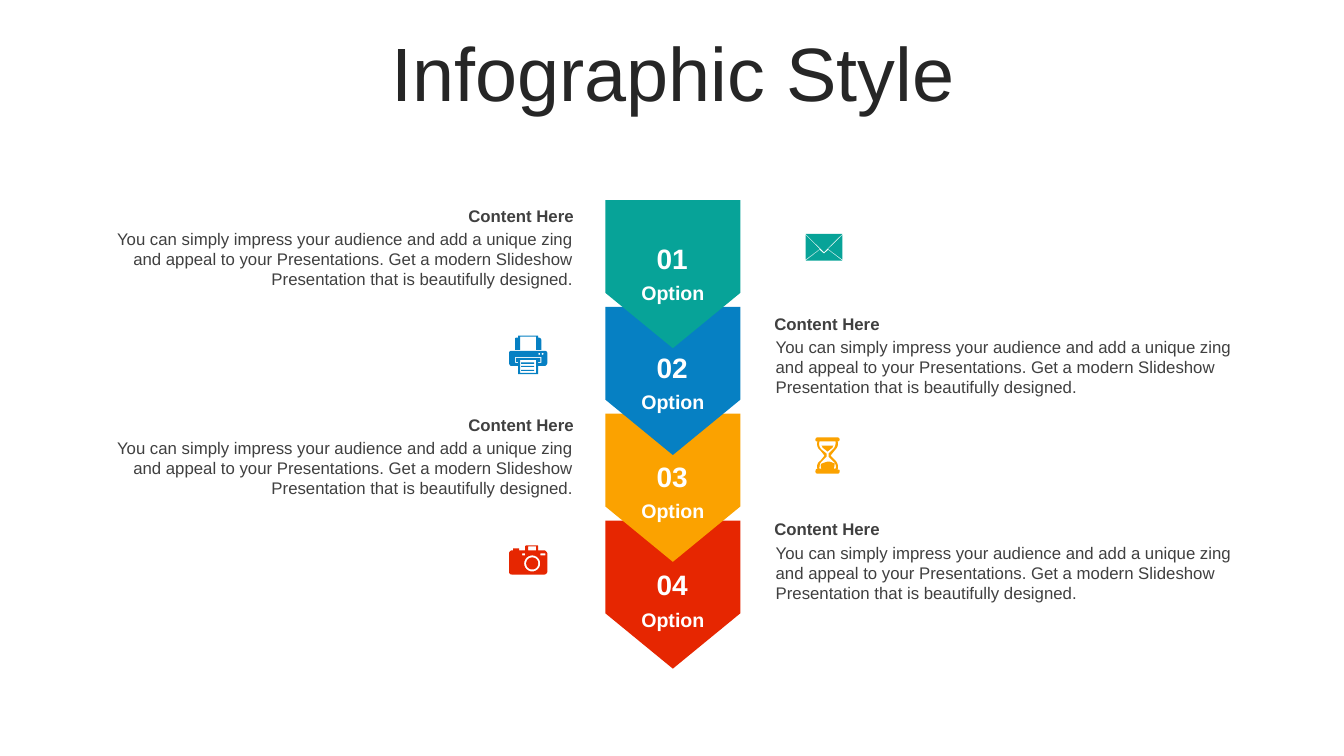
import pptx
import pptx.util
import pptx.dml.color
import pptx.enum.shapes
import pptx.enum.text

Pt = pptx.util.Pt
ALIGN = pptx.enum.text.PP_ALIGN
ANCHOR = pptx.enum.text.MSO_ANCHOR

TITLE = "Infographic Style"
HEADING = "Content Here"
BODY = ("You can simply impress your audience and add a unique zing and appeal to your "
        "Presentations. Get a modern Slideshow Presentation that is beautifully designed.")
FONT = "Arial"
GRID = 0.72


def box(left, top, right, bottom):
    return [(left, top), (right, top), (right, bottom), (left, bottom)]


def circle(x, y, radius):
    k = radius * 0.55
    return [(x, y - radius),
            (x + k, y - radius, x + radius, y - k, x + radius, y),
            (x + radius, y + k, x + k, y + radius, x, y + radius),
            (x - k, y + radius, x - radius, y + k, x - radius, y),
            (x - radius, y - k, x - k, y - radius, x, y - radius)]


ENVELOPE = [
    [(22.5, 15.8), (36.5, 26.5), (0, 26.5), (14, 15.8), (18.25, 19.5)],
    [(36.5, 1), (36.5, 25.5), (22.5, 15)],
    [(0, 1), (14, 15), (0, 25.5)],
    [(0, 0), (36.5, 0), (18.25, 18)],
]
PRINTER = [
    box(12, 34, 25, 35), box(12, 30, 25, 31), box(12, 26.5, 25, 28),
    box(11, 24, 27, 37),
    [(6, 21), (6, 27), (9, 27), (9, 26), (7, 26), (7, 22), (31, 22), (31, 26),
     (29, 26), (29, 27), (32, 27), (32, 21)],
    circle(33.3, 18, 1), circle(30, 18, 1),
    [(2, 15), (35, 15), (37, 15, 38, 16, 38, 17), (38, 27), (38, 28, 37, 30, 35, 30),
     (29, 30), (29, 38), (9, 38), (9, 30), (2, 30), (1, 30, 0, 28, 0, 27),
     (0, 17), (0, 16, 1, 15, 2, 15)],
    [(9, 0), (29, 0), (29, 2), (30, 2), (31, 2, 32, 3, 32, 4), (32, 14), (27, 14),
     (27, 1), (11, 1), (11, 14), (6, 14), (6, 4), (6, 3, 6, 2, 7, 2), (9, 2)],
]
HOURGLASS = [
    [(13, 24), (15, 24, 17, 25, 19, 26), (19, 27, 19, 29, 18, 31), (6, 31),
     (5, 29, 5, 27, 6, 26), (9, 25, 11, 24, 13, 24)],
    [(6, 8), (18, 8), (18, 8, 17, 9, 17, 10), (12, 14), (7, 10), (7, 9, 6, 8, 6, 8)],
    [(4, 4), (3, 7, 4, 10, 6, 12), (11, 16), (11, 19), (6, 24), (4, 26, 4, 29, 4, 31),
     (20, 31), (21, 29, 20, 26, 18, 24), (13, 19), (13, 16), (18, 11),
     (20, 9, 20, 6, 20, 4)],
    [(2, 0), (22, 0), (23, 0, 24, 1, 24, 2), (24, 3, 23, 4, 22, 4),
     (23, 7, 22, 10, 19, 13), (15, 18), (19, 22), (22, 25, 23, 28, 22, 32),
     (24, 32, 24, 32, 24, 34), (24, 35, 23, 36, 22, 36), (2, 36),
     (1, 36, 0, 35, 0, 34), (0, 32, 1, 31, 2, 31), (1, 28, 2, 25, 5, 23), (9, 18),
     (5, 13), (2, 11, 1, 7, 2, 4), (0, 4, 0, 3, 0, 2), (0, 1, 1, 0, 2, 0)],
]
CAMERA = [
    circle(23, 18, 6), circle(23, 18, 8),
    box(13, 8, 16, 10), box(31, 8, 36, 10), box(19, 1, 27, 5),
    [(17, 0), (28, 0), (29, 0, 29, 1, 29, 1), (29, 5), (35, 5), (36, 5, 38, 7, 38, 8),
     (38, 26), (38, 28, 36, 29, 35, 29), (3, 29), (1, 29, 0, 28, 0, 26), (0, 8),
     (0, 7, 1, 5, 3, 5), (4, 5), (4, 3), (10, 3), (10, 5), (16, 5), (16, 1),
     (16, 1, 17, 0, 17, 0)],
]

OPTIONS = [
    ("01", "07A398", "left", 143.3, ENVELOPE, 575.4, 167.1),
    ("02", "0680C3", "right", 220.3, PRINTER, 363.6, 239.8),
    ("03", "FBA200", "left", 292.3, HOURGLASS, 582.5, 312.5),
    ("04", "E62601", "right", 367.2, CAMERA, 363.6, 389.5),
]
SIDES = {"left": (72, ALIGN.RIGHT), "right": (546, ALIGN.LEFT)}


def color(value):
    return pptx.dml.color.RGBColor.from_string(value)


def write(shape, text, size=12, fill="404040", bold=False, align=ALIGN.CENTER,
          anchor=ANCHOR.TOP, line_spacing=None):
    frame = shape.text_frame
    frame.word_wrap = True
    frame.auto_size = pptx.enum.text.MSO_AUTO_SIZE.NONE
    frame.vertical_anchor = anchor
    paragraph = frame.paragraphs[0]
    paragraph.alignment = align
    paragraph.line_spacing = line_spacing
    run = paragraph.add_run()
    run.text = text
    run.font.name = FONT
    run.font.size = Pt(size)
    run.font.bold = bold
    run.font.color.rgb = color(fill)


def add_label(slide, text, left, top, width, height, **style):
    write(slide.shapes.add_textbox(Pt(left), Pt(top), Pt(width), Pt(height)), text, **style)


def paint(shape, fill):
    shape.shadow.inherit = False
    shape.fill.solid()
    shape.fill.fore_color.rgb = color(fill)
    shape.line.fill.background()


def flatten(contour, steps=6):
    points = []
    for segment in contour:
        if len(segment) == 2:
            points.append(segment)
            continue
        nodes = [points[-1], segment[:2], segment[2:4], segment[4:]]
        for step in range(1, steps + 1):
            t = step / steps
            weights = ((1 - t) ** 3, 3 * t * (1 - t) ** 2, 3 * t * t * (1 - t), t ** 3)
            points.append(tuple(sum(w * node[axis] for w, node in zip(weights, nodes))
                                for axis in (0, 1)))
    return [(x * Pt(GRID), y * Pt(GRID)) for x, y in points]


def add_icon(slide, contours, left, top, fill):
    outlines = [flatten(contour) for contour in contours]
    builder = slide.shapes.build_freeform(*outlines[0][0])
    for index, points in enumerate(outlines):
        if index:
            builder.move_to(*points[0])
        builder.add_line_segments(points[1:], close=True)
    paint(builder.convert_to_shape(Pt(left), Pt(top)), fill)


def add_chevron(slide, index, fill):
    chevron = slide.shapes.add_shape(
        pptx.enum.shapes.MSO_SHAPE.PENTAGON,
        Pt(427.7), Pt(147.6 + 76.3 * index), Pt(105.8), Pt(96.5))
    chevron.adjustments[0] = 0.41
    chevron.rotation = 90
    paint(chevron, fill)


def main():
    presentation = pptx.Presentation()
    presentation.slide_width = Pt(960)
    presentation.slide_height = Pt(540)
    slide = presentation.slides.add_slide(presentation.slide_layouts[5])

    title = slide.shapes.title
    title.left, title.top, title.width, title.height = Pt(25), Pt(26.6), Pt(911.5), Pt(57)
    write(title, TITLE, size=54, fill="262626", anchor=ANCHOR.MIDDLE, line_spacing=0.9)

    for index, option in reversed(list(enumerate(OPTIONS))):
        add_chevron(slide, index, option[1])

    for index, (number, fill, side, top, icon, icon_left, icon_top) in enumerate(OPTIONS):
        label_top = 168.5 + 77.76 * index
        add_label(slide, "Option", 441.4, label_top + 28.8, 78.5, 24.5,
                  size=14, fill="FFFFFF", bold=True)
        add_label(slide, number, 455, label_top, 50.4, 31.7,
                  size=20, fill="FFFFFF", bold=True, anchor=ANCHOR.MIDDLE)
        left, align = SIDES[side]
        add_label(slide, HEADING, left, top, 345, 21.6,
                  bold=True, align=align, anchor=ANCHOR.MIDDLE)
        add_label(slide, BODY, left + 1, top + 16.6, 343.5, 51, align=align)
        add_icon(slide, icon, icon_left, icon_top, fill)

    presentation.save("out.pptx")


if __name__ == "__main__":
    main()
